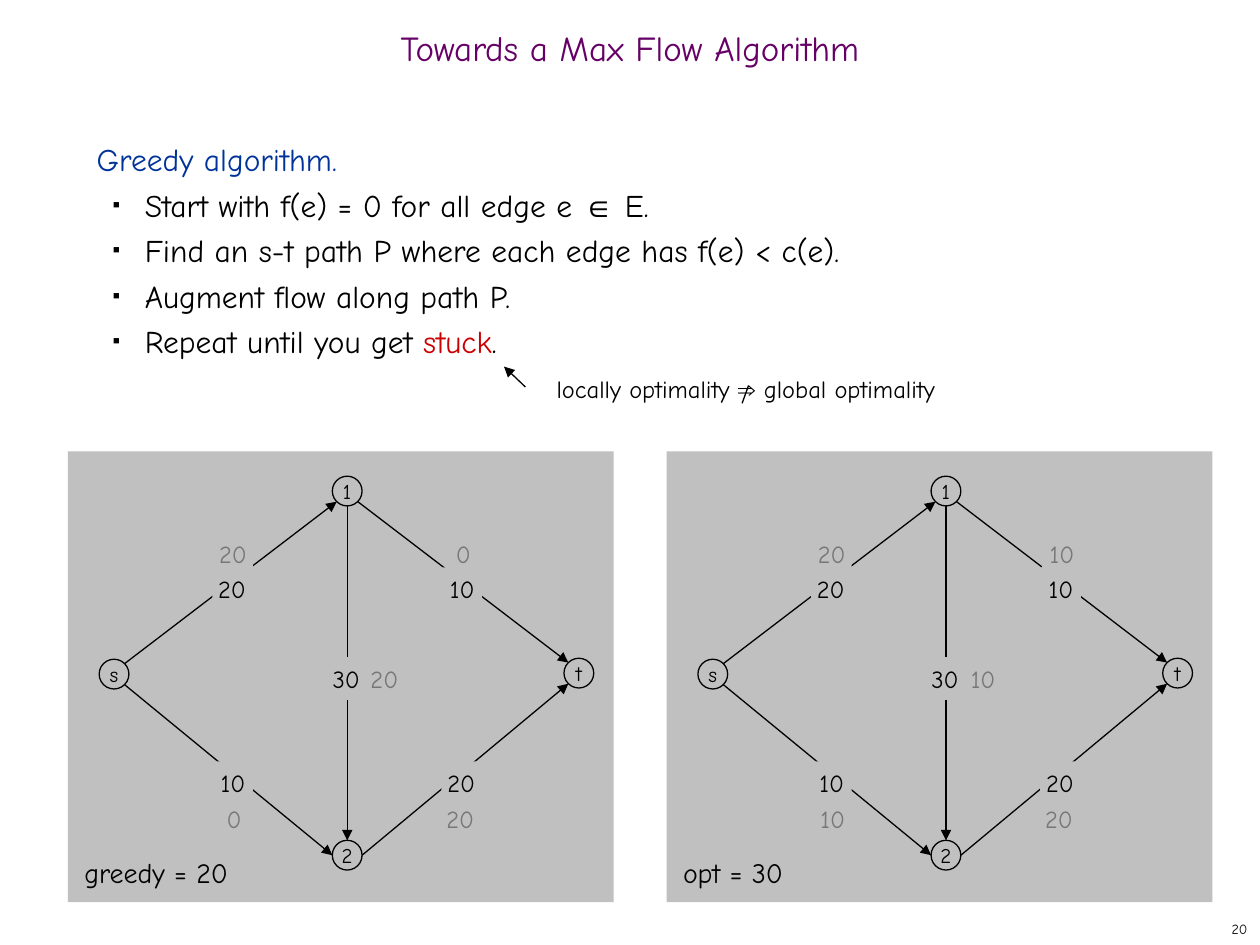
"""Build a slide that compares a greedy flow with an optimal flow."""
from dataclasses import dataclass

from lxml import etree
from pptx import Presentation
from pptx.dml.color import RGBColor
from pptx.enum.shapes import MSO_CONNECTOR, MSO_SHAPE
from pptx.enum.text import MSO_ANCHOR, PP_ALIGN
from pptx.oxml.ns import qn
from pptx.util import Cm, Pt

RECT, OVAL = MSO_SHAPE.RECTANGLE, MSO_SHAPE.OVAL
STRAIGHT = MSO_CONNECTOR.STRAIGHT
TOP, MIDDLE = MSO_ANCHOR.TOP, MSO_ANCHOR.MIDDLE
LEFT, CENTER, RIGHT = PP_ALIGN.LEFT, PP_ALIGN.CENTER, PP_ALIGN.RIGHT


@dataclass(frozen=True)
class Theme:
    font: str = "Comic Neue"
    symbol: str = "Arial"
    ink: str = "000000"
    title: str = "660066"
    heading: str = "003399"
    alert: str = "CC0000"
    flow: str = "777777"
    panel: str = "C0C0C0"
    title_pt: int = 20
    body_pt: int = 18
    caption_pt: int = 16
    label_pt: int = 14
    node_pt: int = 12
    number_pt: int = 8
    line_pt: float = 0.75


@dataclass
class Builder:
    theme: Theme
    slide: object

    def put_text(self, sp, paras, size, color=None, align=LEFT, anchor=TOP,
                 inset=(0.25, 0.13), wrap=True, spacing=None):
        tf = sp.text_frame
        dx, dy = (Cm(v) for v in inset)
        frame = {"margin_left": dx, "margin_right": dx, "margin_top": dy,
                 "margin_bottom": dy, "word_wrap": wrap, "vertical_anchor": anchor}
        for name, value in frame.items():
            setattr(tf, name, value)
        for i, runs in enumerate(paras):
            p = tf.add_paragraph() if i else tf.paragraphs[0]
            p.alignment, p.line_spacing = align, spacing
            for text, own_color, own_font in runs:
                r = p.add_run()
                r.text = text
                style = {"size": Pt(size), "name": own_font or self.theme.font}
                for name, value in style.items():
                    setattr(r.font, name, value)
                r.font.color.rgb = RGBColor.from_string(
                    own_color or color or self.theme.ink)
        return tf

    def text(self, x, y, w, h, paras, size, **style):
        sp = self.slide.shapes.add_textbox(Cm(x), Cm(y), Cm(w), Cm(h))
        return self.put_text(sp, paras, size, **style)

    def shape(self, kind, x, y, w, h, outlined=False):
        sp = self.slide.shapes.add_shape(kind, Cm(x), Cm(y), Cm(w), Cm(h))
        sp.shadow.inherit = False
        sp.fill.solid()
        sp.fill.fore_color.rgb = RGBColor.from_string(self.theme.panel)
        if outlined:
            sp.line.color.rgb = RGBColor.from_string(self.theme.ink)
            sp.line.width = Pt(self.theme.line_pt)
        else:
            sp.line.fill.background()
        return sp

    def node(self, x, y, name):
        sp = self.shape(OVAL, x - RADIUS, y - RADIUS, 2 * RADIUS, 2 * RADIUS, True)
        self.put_text(sp, [plain(name)], self.theme.node_pt, align=CENTER,
                      anchor=MIDDLE, wrap=False)

    def label(self, x, y, value, color):
        text = str(value)
        w, h = 0.3 + 0.25 * len(text), 0.86
        sp = self.shape(RECT, x - w / 2, y - h / 2, w, h)
        self.put_text(sp, [plain(text)], self.theme.label_pt, color=color,
                      align=CENTER, inset=(0.13, 0.13), wrap=False)

    def line(self, start, end, arrow=True):
        cx = self.slide.shapes.add_connector(
            STRAIGHT, *(Cm(v) for v in (*start, *end)))
        cx.line.color.rgb = RGBColor.from_string(self.theme.ink)
        cx.line.width = Pt(self.theme.line_pt)
        spPr = cx.element.spPr
        if arrow:
            etree.SubElement(spPr.find(qn("a:ln")), qn("a:tailEnd"), type="triangle")
        etree.SubElement(spPr, qn("a:effectLst"))

    def bullet(self, p):
        pPr = p._p.get_or_add_pPr()
        pPr.set("marL", str(Cm(0.97)))
        pPr.set("indent", str(Cm(-0.64)))
        color = etree.SubElement(pPr, qn("a:buClr"))
        etree.SubElement(color, qn("a:srgbClr"), val=self.theme.ink)
        etree.SubElement(pPr, qn("a:buSzPct"), val="35000")
        etree.SubElement(pPr, qn("a:buFont"), typeface=self.theme.symbol)
        etree.SubElement(pPr, qn("a:buChar"), char="■")

    def network(self, x, y, caption, flows):
        self.shape(RECT, x, y, 11, 9.09)
        self.text(x - 0.05, y + 7.9, 4.65, 1.19, [plain(caption)],
                  self.theme.caption_pt, inset=(0.38, 0.25))
        for name, (nx, ny) in NODES.items():
            self.node(x + nx, y + ny, name)
        for tail, out, head, into in EDGES:
            self.line(*((x + NODES[n][0] + RADIUS * dx, y + NODES[n][1] + RADIUS * dy)
                        for n, (dx, dy) in ((tail, out), (head, into))))
        for lx, ly, capacity, _, _ in LABELS:
            self.label(x + lx, y + ly, capacity, self.theme.ink)
        for (lx, ly, _, dx, dy), flow in zip(LABELS, flows):
            self.label(x + lx + dx, y + ly + dy, flow, self.theme.flow)


def plain(text):
    return [(text, None, None)]


RADIUS = 0.3
DIAG = 0.71
NODES = {"s": (0.93, 4.49), "1": (5.63, 0.8), "2": (5.63, 8.14), "t": (10.3, 4.47)}
EDGES = [
    ("s", (DIAG, -DIAG), "1", (-DIAG, DIAG)),
    ("s", (DIAG, DIAG), "2", (-1, 0)),
    ("2", (1, 0), "t", (-DIAG, DIAG)),
    ("1", (0, 1), "2", (0, -1)),
    ("1", (DIAG, DIAG), "t", (-DIAG, -DIAG)),
]
LABELS = [
    (3.31, 2.77, 20, 0.02, -0.71),
    (7.95, 2.77, 10, 0.02, -0.71),
    (3.33, 6.68, 10, 0.02, 0.73),
    (7.93, 6.68, 20, -0.02, 0.73),
    (5.61, 4.58, 30, 0.77, 0),
]
PANELS = [("greedy = 20", (20, 0, 0, 20, 20)), ("opt = 30", (20, 10, 10, 20, 10))]


def main():
    prs = Presentation()
    prs.slide_width, prs.slide_height = Cm(25.4), Cm(19.05)
    s = prs.slides.add_slide(prs.slide_layouts[6])
    t = Theme()
    b = Builder(t, s)
    b.text(0, 0.43, 25.4, 1.27, [plain("Towards a Max Flow Algorithm")], t.title_pt,
           color=t.title, align=CENTER, anchor=MIDDLE, spacing=0.7)
    steps = [
        [("Greedy algorithm.", t.heading, None)],
        [("Start with f(e) = 0 for all edge e ", None, None), ("∈", None, t.symbol),
         (" E.", None, None)],
        plain("Find an s-t path P where each edge has f(e) < c(e)."),
        plain("Augment flow along path P."),
        [("Repeat until you get ", None, None), ("stuck", t.alert, None),
         (".", None, None)],
    ]
    tf = b.text(1.7, 2.54, 21.8, 5, steps, t.body_pt, spacing=Pt(26))
    for p in tf.paragraphs[1:]:
        b.bullet(p)
    for i, (caption, flows) in enumerate(PANELS):
        b.network(1.37 + 12.07 * i, 9.1, caption, flows)
    note = [("locally optimality ", None, None), ("⇒", None, t.symbol),
            (" global optimality", None, None)]
    b.text(10.97, 7.42, 8.18, 0.84, [note], t.label_pt, wrap=False)
    b.line((10.59, 7.8), (10.16, 7.39))
    b.line((15.09, 7.77), (14.96, 8.13), arrow=False)
    b.text(20.12, 18.42, 5.28, 0.63, [plain("20")], t.number_pt, align=RIGHT,
           anchor=MIDDLE)
    prs.save("out.pptx")


if __name__ == "__main__":
    main()
